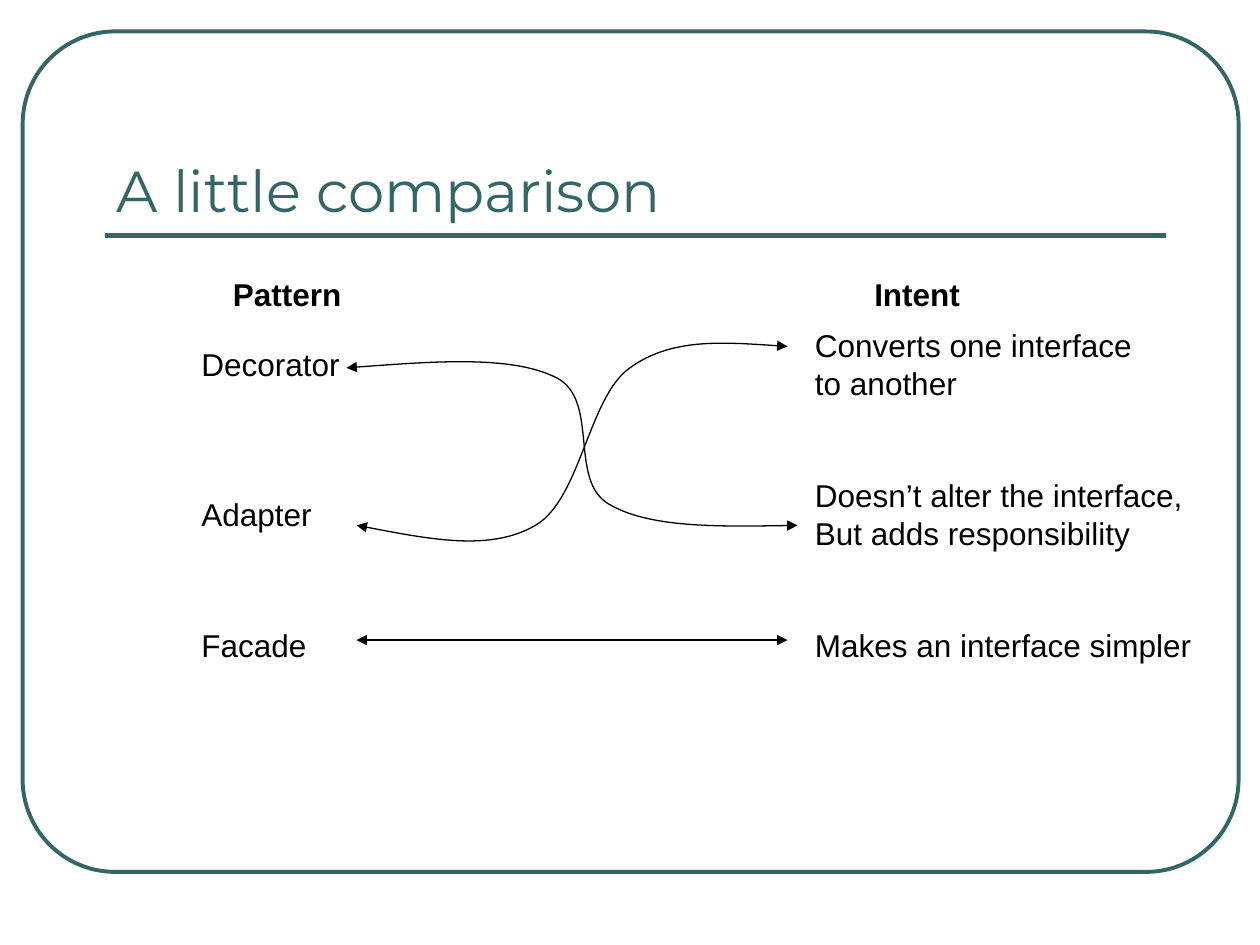
import pptx
import pptx.util
import pptx.dml.color
import pptx.enum.shapes
import pptx.enum.text
import pptx.oxml
import pptx.oxml.ns
from pptx.util import Inches

TEAL = pptx.dml.color.RGBColor(0x33, 0x66, 0x66)
BLACK = pptx.dml.color.RGBColor(0, 0, 0)
STRAIGHT = pptx.enum.shapes.MSO_CONNECTOR.STRAIGHT

deck = pptx.Presentation()
deck.slide_width, deck.slide_height = Inches(10), Inches(7.5)
page = deck.slides.add_slide(deck.slide_layouts[6])


def add_text(place, lines, size=18, name="Arial", color=BLACK, bold=False, anchor="TOP"):
    box = page.shapes.add_textbox(*[Inches(value) for value in place])
    frame = box.text_frame
    frame.word_wrap = True
    frame.vertical_anchor = getattr(pptx.enum.text.MSO_ANCHOR, anchor)
    frame.text = "\n".join(lines)
    formats = {"size": pptx.util.Pt(size), "name": name, "bold": bold}
    for para in frame.paragraphs:
        for span in para.runs:
            for key, value in formats.items():
                setattr(span.font, key, value)
            span.font.color.rgb = color


def style_line(shape, color, width, arrows=False):
    shape.line.color.rgb = color
    shape.line.width = pptx.util.Pt(width)
    properties = shape._element.spPr
    if arrows:
        outline = properties.find(pptx.oxml.ns.qn("a:ln"))
        for end in ("headEnd", "tailEnd"):
            outline.append(pptx.oxml.parse_xml(
                f'<a:{end} {pptx.oxml.ns.nsdecls("a")} type="triangle"/>'))
    properties.append(pptx.oxml.parse_xml(
        f'<a:effectLst {pptx.oxml.ns.nsdecls("a")}/>'))


# Rounded frame and title rule
border = page.shapes.add_shape(
    pptx.enum.shapes.MSO_SHAPE.ROUNDED_RECTANGLE,
    Inches(0.18), Inches(0.25), Inches(9.65), Inches(6.67))
border.adjustments[0] = 0.11
border.fill.background()
style_line(border, TEAL, 2.25)
rule = page.shapes.add_connector(
    STRAIGHT, Inches(0.83), Inches(1.87), Inches(9.25), Inches(1.87))
style_line(rule, TEAL, 3)

# Title
add_text((0.83, 0.58, 8.42, 1.25), ["A little comparison"],
         size=33, name="Montserrat", color=TEAL, anchor="BOTTOM")

# Column headings
add_text((1.75, 2.13, 1.15, 0.4), ["Pattern"], bold=True)
add_text((6.84, 2.13, 0.95, 0.4), ["Intent"], bold=True)

# Patterns on the left, intents on the right, centred on the same row
rows = [
    (2.89, "Decorator", 1.37, ["Converts one interface", "to another"], 2.8),
    (4.08, "Adapter", 1.17, ["Doesn’t alter the interface,", "But adds responsibility"], 3.2),
    (5.12, "Facade", 1.13, ["Makes an interface simpler"], 3.27),
]
for middle, pattern, pattern_width, intent, intent_width in rows:
    height = 0.1 + 0.3 * len(intent)
    add_text((1.5, middle - 0.2, pattern_width, 0.4), [pattern])
    add_text((6.37, middle - height / 2, intent_width, height), intent)

# Crossing curves: a start point, then three points for each Bezier piece
curves = [
    [(2.75, 2.92), (3.41, 2.87), (4.07, 2.82), (4.42, 3), (4.76, 3.18),
     (4.51, 3.81), (4.83, 4), (5.15, 4.19), (5.74, 4.18), (6.33, 4.17)],
    [(2.83, 4.17), (3.36, 4.27), (3.89, 4.38), (4.25, 4.17), (4.61, 3.96),
     (4.67, 3.15), (5, 2.92), (5.33, 2.68), (5.79, 2.72), (6.25, 2.75)],
]
for points in curves:
    start, *rest = [(Inches(x), Inches(y)) for x, y in points]
    builder = page.shapes.build_freeform(*start)
    builder.add_line_segments(rest, close=False)
    curve = builder.convert_to_shape()
    curve.fill.background()
    style_line(curve, BLACK, 0.75, arrows=True)
    # Turn every three line segments into one Bezier piece
    segments = list(curve._element.iter(pptx.oxml.ns.qn("a:lnTo")))
    for first in range(0, len(segments), 3):
        bezier = pptx.oxml.parse_xml(f'<a:cubicBezTo {pptx.oxml.ns.nsdecls("a")}/>')
        segments[first].addprevious(bezier)
        for segment in segments[first:first + 3]:
            bezier.append(segment[0])
            segment.getparent().remove(segment)

# Straight arrow for Facade
arrow = page.shapes.add_connector(
    STRAIGHT, Inches(2.83), Inches(5.08), Inches(6.25), Inches(5.08))
style_line(arrow, BLACK, 0.75, arrows=True)

deck.save("out.pptx")
